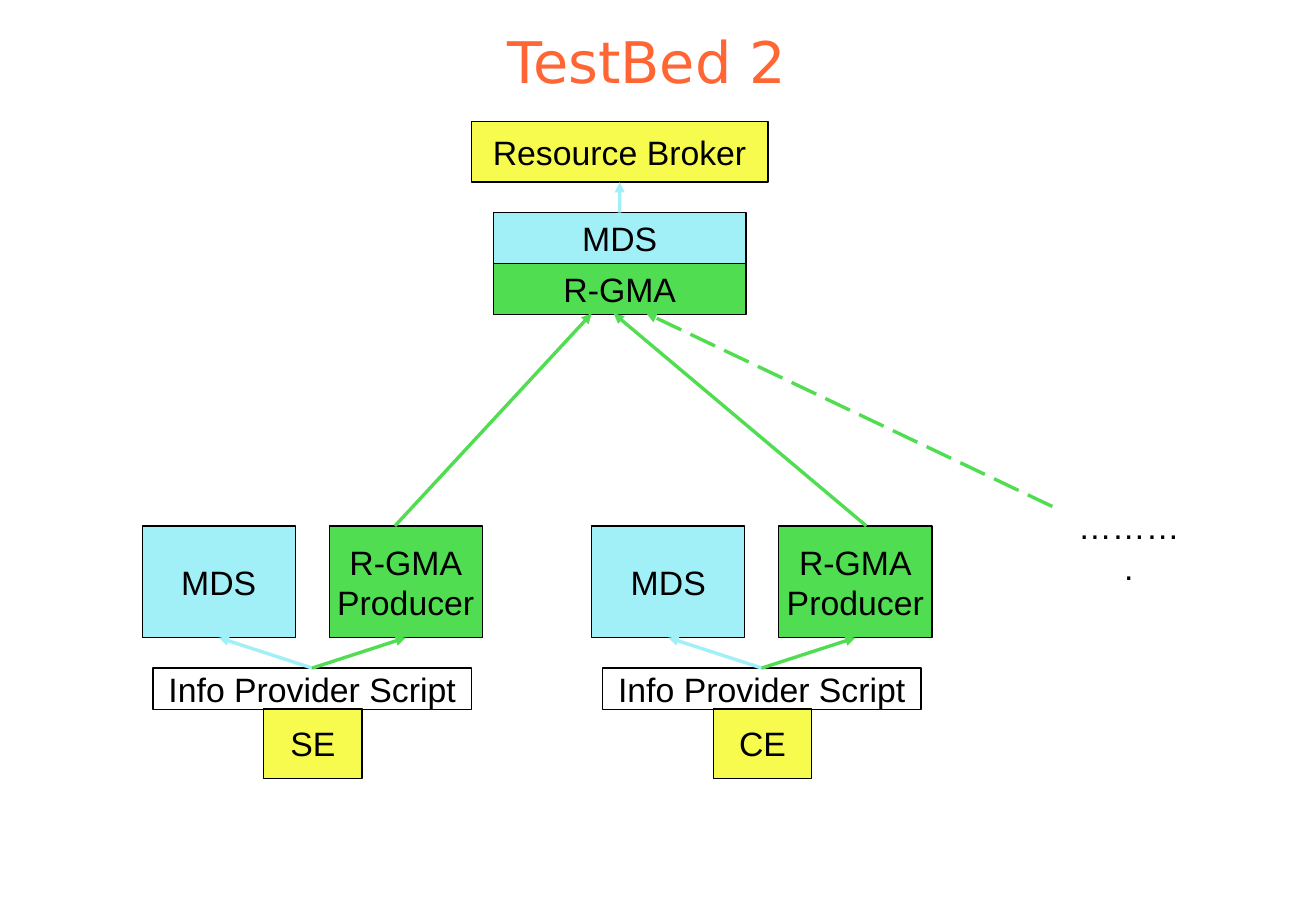
from lxml import etree
from pptx import Presentation
from pptx.dml.color import RGBColor
from pptx.enum import dml, shapes, text
from pptx.oxml import ns
from pptx.util import Inches, Pt

COLORS = {"yellow": "F7FB4D", "cyan": "A1EFF7", "green": "51DD51",
          "black": "000000", "orange": "FF6633"}

deck = Presentation()
deck.slide_width, deck.slide_height = Inches(10.83), Inches(7.5)
page = deck.slides.add_slide(deck.slide_layouts[6])


def add_label(words, at, fill=None, border=True, size=20, font="Arial",
              color="black", anchor=text.MSO_ANCHOR.MIDDLE, wrap=False):
    """Add centred text, in a bordered rectangle or in a plain text box."""
    place = [Inches(length) for length in at]
    if border:
        box = page.shapes.add_shape(shapes.MSO_SHAPE.RECTANGLE, *place)
        box.shadow.inherit = False
        box.line.color.rgb = RGBColor.from_string(COLORS["black"])
        box.line.width = Pt(0.75)
    else:
        box = page.shapes.add_textbox(*place)
    if fill:
        box.fill.solid()
        box.fill.fore_color.rgb = RGBColor.from_string(COLORS[fill])
    else:
        box.fill.background()
    frame = box.text_frame
    frame.text = words
    frame.word_wrap = wrap
    frame.vertical_anchor = anchor
    for para in frame.paragraphs:
        para.alignment = text.PP_ALIGN.CENTER
        for span in para.runs:
            span.font.size, span.font.name = Pt(size), font
            span.font.color.rgb = RGBColor.from_string(COLORS[color])
    return box


def add_arrow(start, end, color):
    """Draw an arrow; each end is an (x, y) point or a (box, side) joint."""
    arrow = page.shapes.add_connector(shapes.MSO_CONNECTOR.STRAIGHT, 0, 0, 0, 0)
    if isinstance(start[0], float):
        arrow.begin_x, arrow.begin_y = Inches(start[0]), Inches(start[1])
    else:
        arrow.begin_connect(*start)
    if isinstance(end[0], float):
        arrow.end_x, arrow.end_y = Inches(end[0]), Inches(end[1])
    else:
        arrow.end_connect(*end)
    arrow.line.color.rgb = RGBColor.from_string(COLORS[color])
    arrow.line.width = Pt(2)
    properties = arrow.line._get_or_add_ln()
    etree.SubElement(properties, ns.qn("a:tailEnd"), type="triangle")
    etree.SubElement(arrow._element.spPr, ns.qn("a:effectLst"))
    return arrow


TOP, BOTTOM = 0, 2

add_label("TestBed 2", (0.72, 0, 9.21, 0.83), border=False, size=34,
          font="DejaVu Sans", color="orange",
          anchor=text.MSO_ANCHOR.BOTTOM, wrap=True)

# Central services
broker = add_label("Resource Broker", (3.88, 1, 2.44, 0.5), fill="yellow")
central_mds = add_label("MDS", (4.06, 1.75, 2.08, 0.42), fill="cyan")
add_label("R-GMA", (4.06, 2.17, 2.08, 0.42), fill="green")
add_arrow((central_mds, TOP), (broker, BOTTOM), "cyan")

# Storage and computing elements, each with its information providers
for index, element in enumerate(("SE", "CE")):
    left = 1.17 + 3.7 * index
    add_label(element, (left + 1, 5.83, 0.81, 0.58), fill="yellow")
    script = add_label("Info Provider Script", (left + 0.09, 5.5, 2.62, 0.34))
    mds = add_label("MDS", (left, 4.33, 1.26, 0.92), fill="cyan")
    producer = add_label("R-GMA\nProducer", (left + 1.54, 4.33, 1.26, 0.92),
                         fill="green")
    add_arrow((script, TOP), (mds, BOTTOM), "cyan")
    add_arrow((script, TOP), (producer, BOTTOM), "green")

# Producers publish to the central R-GMA
for start, end, dash in (
    ((3.25, 4.33), (4.87, 2.58), None),
    ((7.13, 4.33), (5.05, 2.58), None),
    ((8.66, 4.17), (5.32, 2.58), dml.MSO_LINE.LONG_DASH),
):
    feed = add_arrow(start, end, "green")
    if dash:
        feed.line.dash_style = dash

add_label("……….", (8.75, 4, 1.08, 1), border=False)

deck.save("out.pptx")
